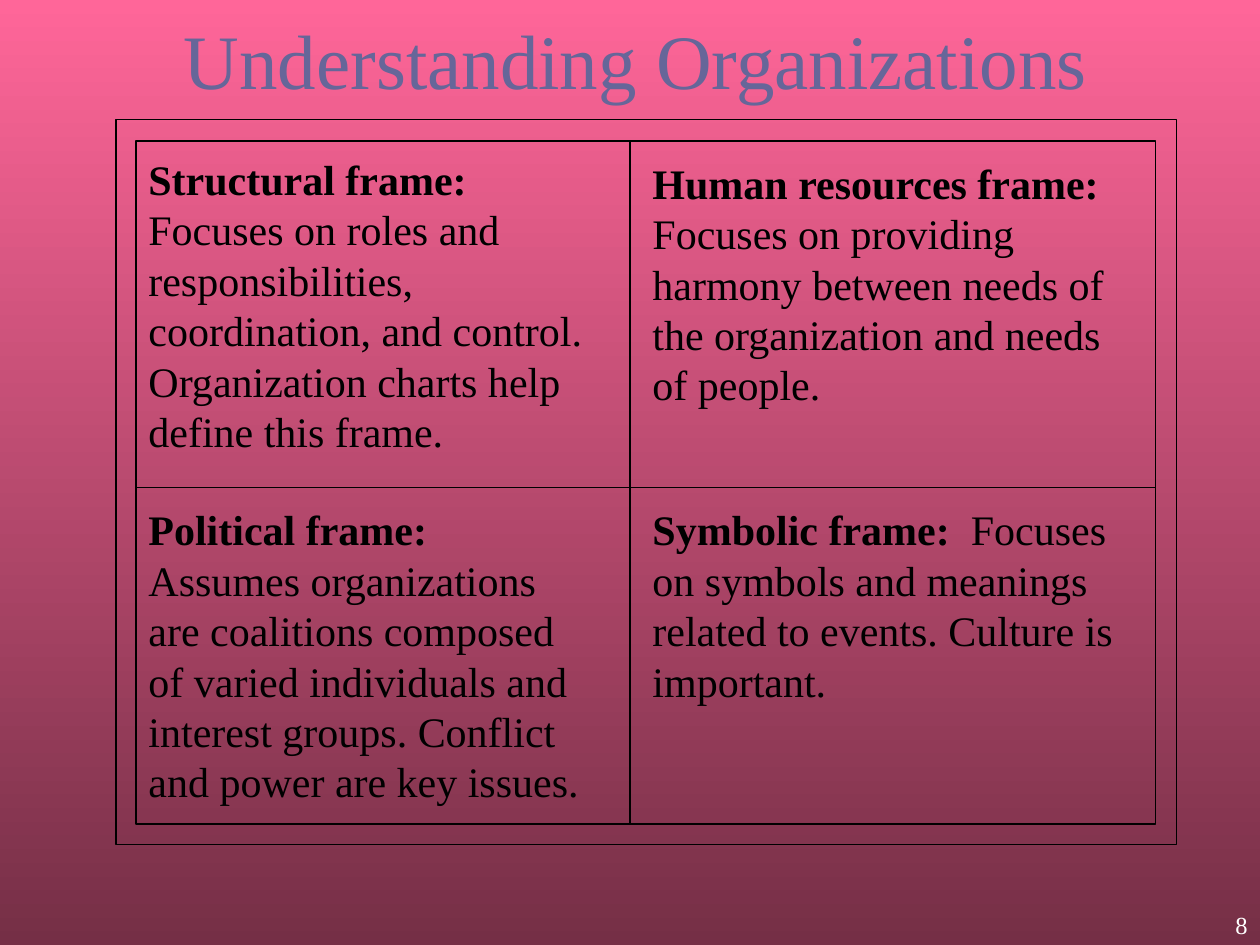
"""Build the slide on the four frames for understanding organizations."""
from pptx import Presentation
from pptx.dml.color import RGBColor
from pptx.enum.shapes import MSO_CONNECTOR, MSO_SHAPE
from pptx.enum.text import MSO_ANCHOR, PP_ALIGN
from pptx.oxml.ns import qn
from pptx.util import Inches, Pt
from lxml.etree import SubElement

PINK = RGBColor(0xFF, 0x66, 0x99)
WINE = RGBColor(0x75, 0x2F, 0x46)
SLATE = RGBColor(0x66, 0x66, 0x99)
BLACK = RGBColor(0, 0, 0)
WHITE = RGBColor(0xFF, 0xFF, 0xFF)

LEFT, TOP, RIGHT, BASE = 1.08, 1.12, 9.17, 6.54
MID_X, MID_Y = 5, 3.87


def add_text(box, parts, size, color, align=PP_ALIGN.LEFT):
    x, y, w, h = map(Inches, box)
    frame = slide.shapes.add_textbox(x, y, w, h).text_frame
    frame.word_wrap = True
    para = frame.paragraphs[0]
    para.alignment = align
    for text, bold in parts:
        run = para.add_run()
        run.text = text
        run.font.name = "Times New Roman"
        run.font.size = Pt(size)
        run.font.bold = bold
        run.font.color.rgb = color
    return frame


def add_rect(x, y, w, h):
    rect = slide.shapes.add_shape(
        MSO_SHAPE.RECTANGLE, Inches(x), Inches(y), Inches(w), Inches(h))
    rect.shadow.inherit = False
    rect.fill.background()
    rect.line.color.rgb = BLACK
    rect.line.width = Pt(0.75)


deck = Presentation()
deck.slide_width = Inches(10)
deck.slide_height = Inches(7.5)
slide = deck.slides.add_slide(deck.slide_layouts[6])

fill = slide.background.fill
fill.gradient()
fill.gradient_angle = 270
for stop, color in zip(fill.gradient_stops, (PINK, WINE)):
    stop.color.rgb = color

title = add_text((0.92, 0, 8.25, 0.93), [("Understanding Organizations", False)],
                 44, SLATE, PP_ALIGN.CENTER)
title.vertical_anchor = MSO_ANCHOR.MIDDLE

add_rect(LEFT, TOP, RIGHT - LEFT, BASE - TOP)
for ends in ((MID_X, TOP, MID_X, BASE), (LEFT, MID_Y, RIGHT, MID_Y)):
    line = slide.shapes.add_connector(MSO_CONNECTOR.STRAIGHT, *map(Inches, ends))
    line.line.color.rgb = BLACK
    line.line.width = Pt(0.75)
    SubElement(line._element.spPr, qn("a:effectLst"))

frames = [
    ((LEFT, 1.17, 3.83, 2.5), "Structural frame:",
     "Focuses on roles and responsibilities, coordination, and control. "
     "Organization charts help define this frame."),
    ((5.08, 1.2, 3.92, 2.1), "Human resources frame:",
     "Focuses on providing harmony between needs of the organization "
     "and needs of people."),
    ((LEFT, 3.95, 3.75, 2.5), "Political frame:",
     "Assumes organizations are coalitions composed of varied individuals "
     "and interest groups. Conflict and power are key issues."),
    ((5.08, 3.95, 3.92, 1.7), "Symbolic frame:",
     "Focuses on symbols and meanings related to events. "
     "Culture is important."),
]
for box, head, body in frames:
    add_text(box, [(head, True), ("  " + body, False)], 24, BLACK)

add_rect(0.92, 0.95, 8.42, 5.75)
add_text((9.17, 7.17, 0.83, 0.33), [("8", False)], 14, WHITE, PP_ALIGN.RIGHT)

deck.save("out.pptx")
